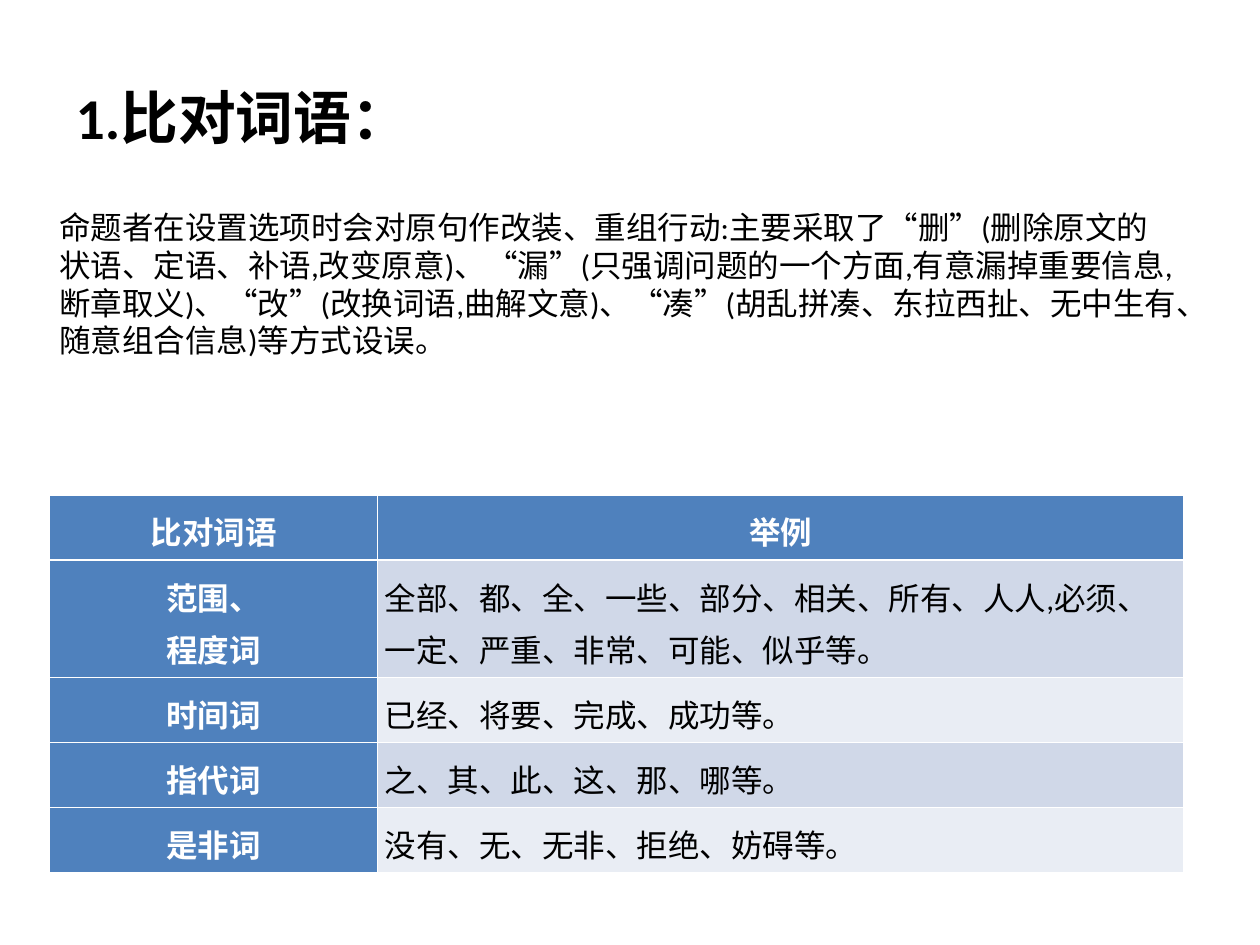
from dataclasses import dataclass

from lxml.etree import SubElement
from pptx import Presentation
from pptx.dml.color import RGBColor
from pptx.enum.lang import MSO_LANGUAGE_ID
from pptx.enum.text import MSO_ANCHOR, MSO_AUTO_SIZE, PP_ALIGN
from pptx.oxml.ns import qn
from pptx.util import Pt


@dataclass(frozen=True)
class Theme:
    black: str = "000000"
    white: str = "FFFFFF"
    blue: str = "4F81BD"
    bands: tuple = ("D0D8E8", "E9EDF4")
    title_size: float = 33
    text_size: float = 18
    text_font: str = "Calibri"
    table_font: str = "Arial"
    thin: float = 0.45
    thick: float = 1.47


THEME = Theme()

TITLE = "1.比对词语："
BODY = (
    "命题者在设置选项时会对原句作改装、重组行动:主要采取了“删”(删除原文的状语、定语、补语,改变原意)、"
    "“漏”(只强调问题的一个方面,有意漏掉重要信息,断章取义)、“改”(改换词语,曲解文意)、"
    "“凑”(胡乱拼凑、东拉西扯、无中生有、随意组合信息)等方式设误。"
)
# Each cell is a list of paragraphs
ROWS = [
    (["比对词语"], ["举例"]),
    (["范围、", "程度词"], ["全部、都、全、一些、部分、相关、所有、人人,必须、一定、严重、非常、可能、似乎等。"]),
    (["时间词"], ["已经、将要、完成、成功等。"]),
    (["指代词"], ["之、其、此、这、那、哪等。"]),
    (["是非词"], ["没有、无、无非、拒绝、妨碍等。"]),
]


def apply(target, formats):
    for name, value in formats.items():
        setattr(target, name, value)


def add_span(para, text, size, font, color, bold=False):
    span = para.add_run()
    span.text = text
    apply(span.font, {
        "size": Pt(size), "name": font, "bold": bold,
        "language_id": MSO_LANGUAGE_ID.SIMPLIFIED_CHINESE,
    })
    span.font.color.rgb = RGBColor.from_string(color)


def fill_placeholder(holder, box, text, anchor, size, bold=False):
    left, top, width, height = box
    apply(holder, {"left": Pt(left), "top": Pt(top), "width": Pt(width), "height": Pt(height)})
    apply(holder.text_frame, {
        "word_wrap": True, "auto_size": MSO_AUTO_SIZE.NONE, "vertical_anchor": anchor,
    })
    para = holder.text_frame.paragraphs[0]
    properties = para._p.get_or_add_pPr()
    properties.set("marL", "0")
    properties.set("indent", "0")
    SubElement(properties, qn("a:buNone"))
    apply(para, {"alignment": PP_ALIGN.LEFT, "space_before": Pt(0)})
    add_span(para, text, size, THEME.text_font, THEME.black, bold)


def set_borders(cell, widths):
    """Draw white borders; widths runs left, right, top, bottom."""
    properties = cell._tc.get_or_add_tcPr()
    for index, (side, width) in enumerate(zip("LRTB", widths)):
        line = SubElement(properties, qn(f"a:ln{side}"), w=str(int(Pt(width))))
        fill = SubElement(line, qn("a:solidFill"))
        SubElement(fill, qn("a:srgbClr"), val=THEME.white)
        properties.remove(line)
        properties.insert(index, line)


def fill_cell(cell, lines, fill, heading):
    apply(cell, {
        "vertical_anchor": MSO_ANCHOR.MIDDLE,
        "margin_left": Pt(4.3), "margin_right": Pt(4.3),
        "margin_top": Pt(3.6), "margin_bottom": Pt(3.6),
    })
    cell.fill.solid()
    cell.fill.fore_color.rgb = RGBColor.from_string(fill)
    frame = cell.text_frame
    color = THEME.white if heading else THEME.black
    for number, line in enumerate(lines):
        para = frame.add_paragraph() if number else frame.paragraphs[0]
        apply(para, {
            "alignment": PP_ALIGN.CENTER if heading else PP_ALIGN.LEFT, "line_spacing": 1.15,
        })
        before, comma, after = line.partition(",")
        for text, font in ((before, THEME.table_font), (comma, THEME.text_font), (after, THEME.table_font)):
            if text:
                add_span(para, text, THEME.text_size, font, color, heading)


def add_word_table(page, box, rows):
    left, top, width, height = box
    table = page.shapes.add_table(
        len(rows), 2, Pt(left), Pt(top), Pt(width), Pt(height)).table
    label_width = 187.2
    for column, size in zip(table.columns, (label_width, width - label_width)):
        column.width = Pt(size)
    line_total = sum(len(labels) for labels, _ in rows)
    for r, row in enumerate(rows):
        table.rows[r].height = Pt(height * len(row[0]) / line_total)
        for c, lines in enumerate(row):
            heading = r == 0 or c == 0
            fill = THEME.blue if heading else THEME.bands[(r - 1) % 2]
            cell = table.cell(r, c)
            fill_cell(cell, lines, fill, heading)
            set_borders(cell, (
                THEME.thin, THEME.thin,
                THEME.thick if r == 1 else THEME.thin,
                THEME.thick if r == 0 else THEME.thin,
            ))


def main():
    deck = Presentation()
    apply(deck, {"slide_width": Pt(720), "slide_height": Pt(540)})
    page = deck.slides.add_slide(deck.slide_layouts[1])
    fill_placeholder(page.shapes.title, (36, 21.6, 648, 90), TITLE,
                     MSO_ANCHOR.MIDDLE, THEME.title_size, bold=True)
    fill_placeholder(page.placeholders[1], (26.6, 115.2, 653.8, 298.8), BODY,
                     MSO_ANCHOR.TOP, THEME.text_size)
    add_word_table(page, (28.4, 283, 648, 149), ROWS)
    deck.save("out.pptx")


if __name__ == "__main__":
    main()
